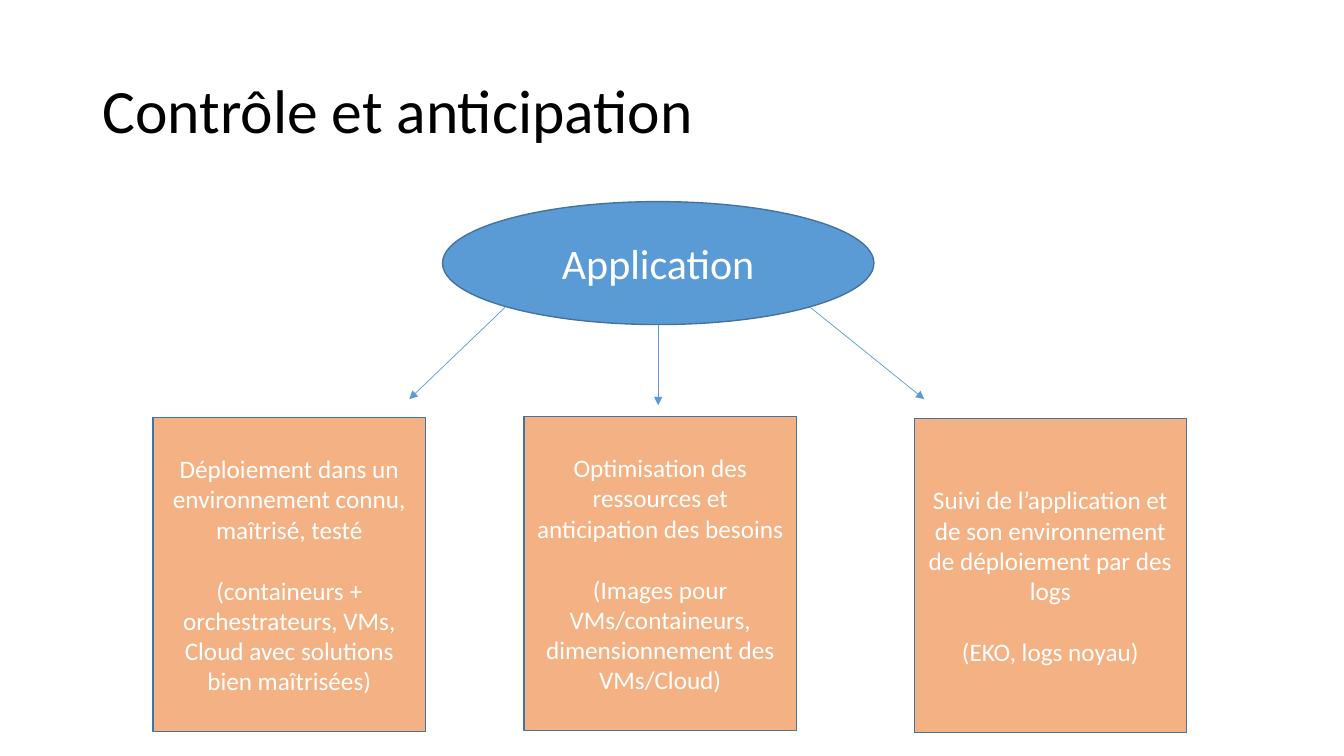
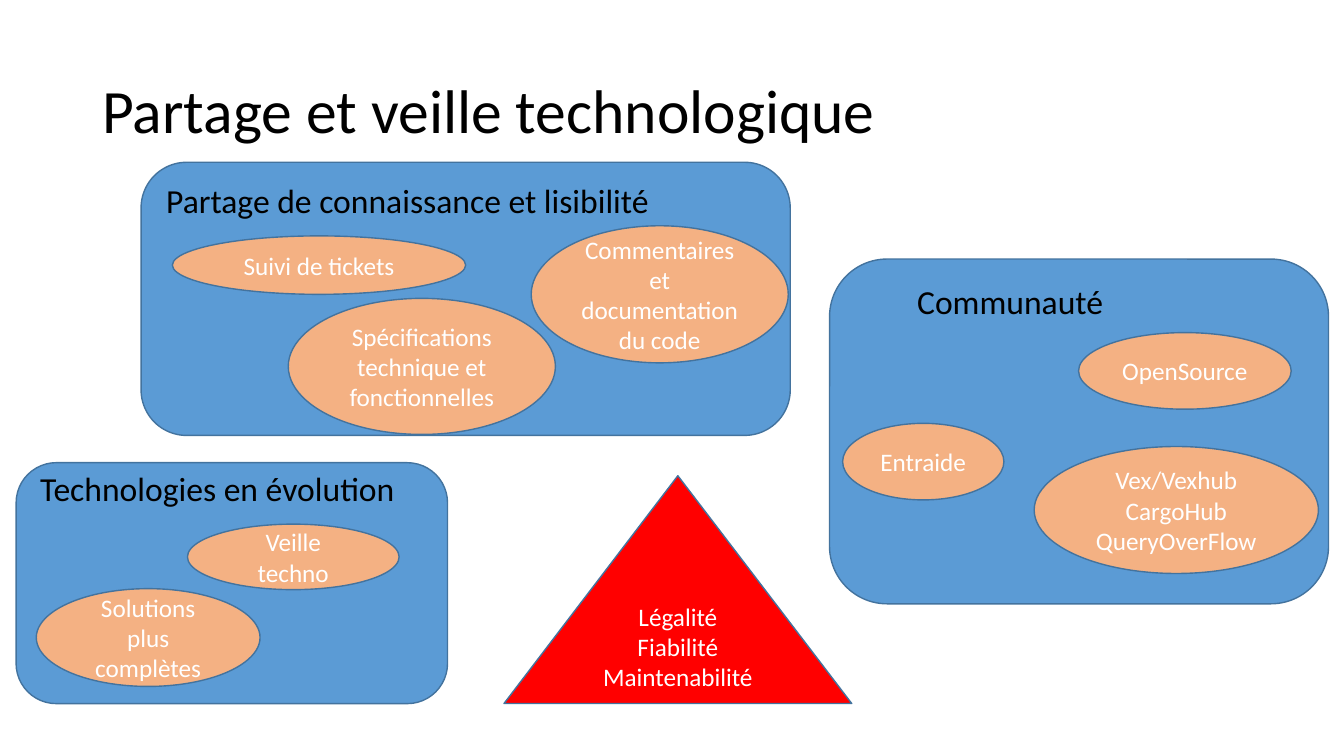
from dataclasses import dataclass

from lxml import etree
from pptx import Presentation
from pptx import util as u
from pptx.dml.color import RGBColor
from pptx.enum import shapes, text
from pptx.oxml.ns import qn

COLUMNS, ROWS = 40, 22.5
FONT = "Calibri"
BLACK = RGBColor(0x00, 0x00, 0x00)
WHITE = RGBColor(0xFF, 0xFF, 0xFF)
BLUE = RGBColor(0x5B, 0x9B, 0xD5)
DARK_BLUE = RGBColor(0x43, 0x73, 0x9E)
ORANGE = RGBColor(0xF4, 0xB1, 0x83)
RED = RGBColor(0xFF, 0x00, 0x00)

RECTANGLE = shapes.MSO_SHAPE.RECTANGLE
ROUNDED = shapes.MSO_SHAPE.ROUNDED_RECTANGLE
OVAL = shapes.MSO_SHAPE.OVAL
TRIANGLE = shapes.MSO_SHAPE.ISOSCELES_TRIANGLE

presentation = Presentation()
presentation.slide_width = u.Inches(13.3333)
presentation.slide_height = u.Inches(7.5)


def column(count: float) -> int:
    return round(presentation.slide_width * count / COLUMNS)


def row(count: float) -> int:
    return round(presentation.slide_height * count / ROWS)


@dataclass(frozen=True)
class Frame:
    left: float
    top: float
    width: float
    height: float

    def lengths(self) -> tuple[int, int, int, int]:
        return column(self.left), row(self.top), column(self.width), row(self.height)


@dataclass(frozen=True)
class Node:
    frame: Frame
    wording: str = ""
    kind: shapes.MSO_SHAPE = OVAL
    fill: RGBColor = ORANGE
    size: float = 18
    gap: float = 0


@dataclass(frozen=True)
class Arrow:
    start: tuple[float, float]
    end: tuple[float, float]


@dataclass(frozen=True)
class Panel:
    frame: Frame
    label: str
    label_frame: Frame
    nodes: tuple[Node, ...]


TITLE_FRAME = Frame(2.75, 1.2, 34.5, 4.35)
BOX_WIDTH, BOX_HEIGHT = 8.1, 9.36
BLANK_LINE = 22

APPLICATION = Node(Frame(13.17, 6, 12.84, 3.66), "Application", fill=BLUE, size=30)
ARROWS = (
    Arrow((15.03, 9.15), (12.18, 11.88)),
    Arrow((19.59, 9.66), (19.59, 12.06)),
    Arrow((24.12, 9.15), (27.51, 11.88)),
)
CONTROLS = (
    (4.56, 12.42, "Déploiement dans un environnement connu, maîtrisé, testé\n"
     "(containeurs + orchestrateurs, VMs, Cloud avec solutions bien maîtrisées)"),
    (15.6, 12.39, "Optimisation des ressources et anticipation des besoins\n"
     "(Images pour VMs/containeurs, dimensionnement des VMs/Cloud)"),
    (27.21, 12.45, "Suivi de l’application et de son environnement de déploiement par des logs\n"
     "(EKO, logs noyau)"),
)
PANELS = (
    Panel(Frame(24.69, 7.71, 14.85, 10.26), "Communauté", Frame(27, 8.22, 6.24, 1.5), (
        Node(Frame(25.08, 12.6, 4.8, 2.28), "Entraide"),
        Node(Frame(32.1, 9.9, 6.33, 2.28), "OpenSource"),
        Node(Frame(30.78, 13.29, 8.46, 3.78), "Vex/Vexhub\nCargoHub\nQueryOverFlow"),
    )),
    Panel(Frame(0.48, 13.77, 12.84, 7.17), "Technologies en évolution",
          Frame(0.9, 13.77, 11.73, 1.5), (
        Node(Frame(5.58, 15.6, 6.3, 1.95), "Veille techno"),
        Node(Frame(1.08, 17.52, 6.66, 2.91), "Solutions plus complètes"),
    )),
    Panel(Frame(4.2, 4.83, 19.32, 8.13), "Partage de connaissance et lisibilité",
          Frame(4.65, 5.22, 15.51, 1.5), (
        Node(Frame(15.81, 6.72, 7.65, 4.08), "Commentaires et documentation du code"),
        Node(Frame(8.58, 8.88, 7.95, 4.05), "Spécifications technique et fonctionnelles"),
        Node(Frame(5.13, 7.02, 8.73, 1.74), "Suivi de tickets"),
    )),
)
GOALS = Node(Frame(15, 14.16, 10.35, 6.78), "Légalité\nFiabilité\nMaintenabilité", TRIANGLE, RED)


def write(text_frame, wording: str, size: float, color: RGBColor,
          alignment=text.PP_ALIGN.LEFT, gap: float = 0) -> None:
    text_frame.text = wording
    text_frame.word_wrap = True
    for index, paragraph in enumerate(text_frame.paragraphs):
        paragraph.alignment = alignment
        if index and gap:
            paragraph.space_before = u.Pt(gap)
        for run in paragraph.runs:
            run.font.name = FONT
            run.font.size = u.Pt(size)
            run.font.color.rgb = color


def add_titled_slide(title: str):
    slide = presentation.slides.add_slide(presentation.slide_layouts[5])
    shape = slide.shapes.title
    shape.left, shape.top, shape.width, shape.height = TITLE_FRAME.lengths()
    write(shape.text_frame, title, 44, BLACK)
    shape.text_frame.auto_size = text.MSO_AUTO_SIZE.NONE
    shape.text_frame.vertical_anchor = text.MSO_ANCHOR.MIDDLE
    shape.text_frame.paragraphs[0].line_spacing = 0.9
    return slide


def draw_node(slide, node: Node) -> None:
    shape = slide.shapes.add_shape(node.kind, *node.frame.lengths())
    shape.shadow.inherit = False
    shape.fill.solid()
    shape.fill.fore_color.rgb = node.fill
    shape.line.color.rgb = DARK_BLUE
    shape.line.width = u.Pt(1)
    if node.wording:
        write(shape.text_frame, node.wording, node.size, WHITE, text.PP_ALIGN.CENTER, node.gap)
        shape.text_frame.vertical_anchor = text.MSO_ANCHOR.MIDDLE


def draw_arrow(slide, arrow: Arrow) -> None:
    connector = slide.shapes.add_connector(
        shapes.MSO_CONNECTOR.STRAIGHT,
        column(arrow.start[0]), row(arrow.start[1]),
        column(arrow.end[0]), row(arrow.end[1]))
    connector.line.color.rgb = BLUE
    connector.line.width = u.Pt(0.5)
    etree.SubElement(connector.line._get_or_add_ln(), qn("a:tailEnd"), type="triangle")
    etree.SubElement(connector._element.spPr, qn("a:effectLst"))


def draw_panel(slide, panel: Panel) -> None:
    draw_node(slide, Node(panel.frame, kind=ROUNDED, fill=BLUE))
    label = slide.shapes.add_textbox(*panel.label_frame.lengths())
    write(label.text_frame, panel.label, 24, BLACK)
    for node in panel.nodes:
        draw_node(slide, node)


def build_control_slide() -> None:
    slide = add_titled_slide("Contrôle et anticipation")
    draw_node(slide, APPLICATION)
    for arrow in ARROWS:
        draw_arrow(slide, arrow)
    for left, top, wording in CONTROLS:
        frame = Frame(left, top, BOX_WIDTH, BOX_HEIGHT)
        draw_node(slide, Node(frame, wording, RECTANGLE, gap=BLANK_LINE))


def build_sharing_slide() -> None:
    slide = add_titled_slide("Partage et veille technologique")
    for panel in PANELS:
        draw_panel(slide, panel)
    draw_node(slide, GOALS)


build_control_slide()
build_sharing_slide()
presentation.save("out.pptx")
